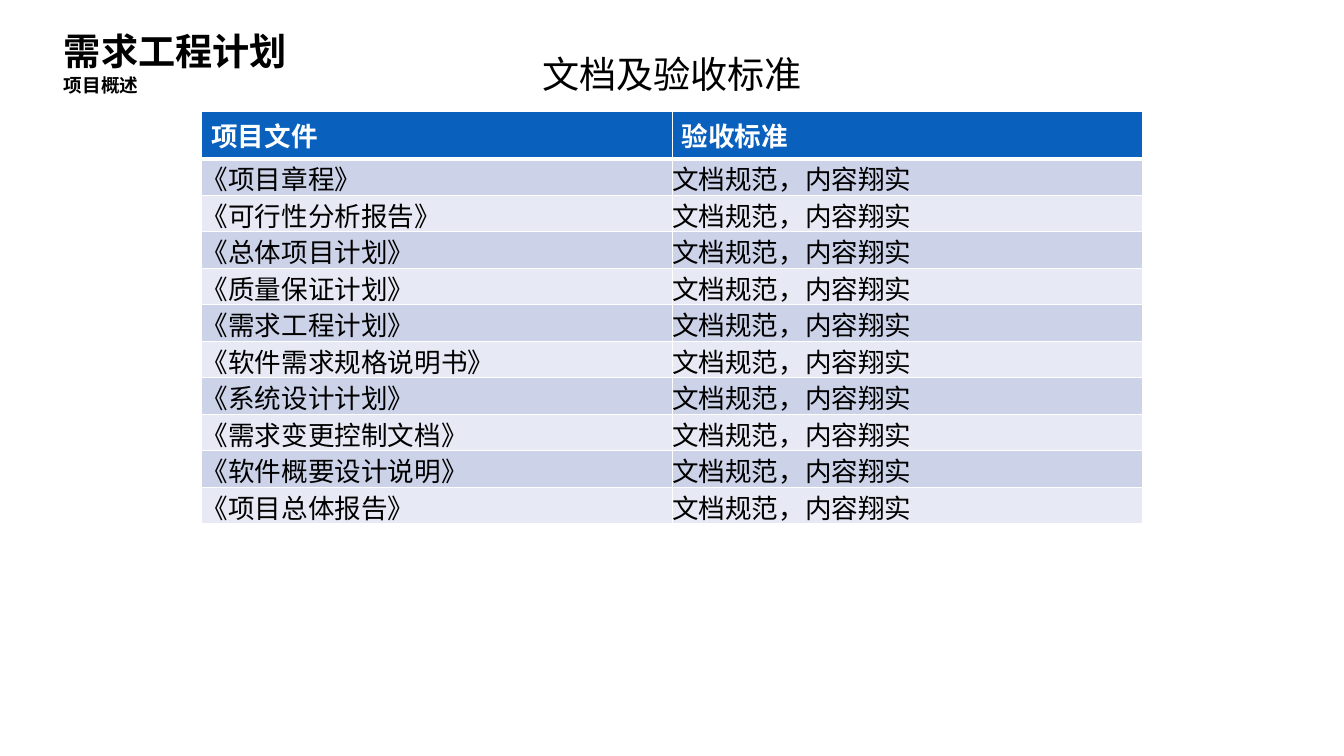
from dataclasses import dataclass

from lxml.etree import SubElement
from pptx import Presentation
from pptx.dml.color import RGBColor
from pptx.enum.text import MSO_ANCHOR, PP_ALIGN
from pptx.oxml.ns import qn
from pptx.slide import Slide
from pptx.table import _Cell
from pptx.text.text import TextFrame
from pptx.util import Cm, Pt

COLORS = {"ink": "000000", "white": "FFFFFF", "head": "0961BD",
          "odd": "CCD2E8", "even": "E7EAF4"}
CJK = "Noto Sans CJK SC"
HEADS = ("项目文件", "验收标准")
FILES = ("项目章程", "可行性分析报告", "总体项目计划", "质量保证计划",
         "需求工程计划", "软件需求规格说明书", "系统设计计划",
         "需求变更控制文档", "软件概要设计说明", "项目总体报告")
RULE = "文档规范，内容翔实"


@dataclass
class Label:
    """A line of heading text and its box in centimetres."""
    text: str
    left: float
    top: float
    width: float
    height: float
    size: int
    face: str = "Arial"
    bold: bool = True
    anchor: MSO_ANCHOR = MSO_ANCHOR.MIDDLE
    align: PP_ALIGN = PP_ALIGN.LEFT
    space: float = 1.0


LABELS = (
    Label("需求工程计划", 1.7, 0.74, 8.56, 1.19, 28),
    Label("项目概述", 1.7, 1.96, 8.94, 0.61, 14),
    Label("文档及验收标准", 13.84, 1.12, 8.03, 1.42, 28, CJK, False,
          MSO_ANCHOR.TOP, PP_ALIGN.CENTER, 1.2),
)


def style(frame: TextFrame, size: int, face: str, color: str, bold: bool) -> None:
    """Format every run of a text frame."""
    for para in frame.paragraphs:
        for run in para.runs:
            font = run.font
            font.size, font.bold, font.name = Pt(size), bold, face
            font.color.rgb = RGBColor.from_string(COLORS[color])
            SubElement(font._element, qn("a:ea")).set("typeface", CJK)


def add_label(slide: Slide, label: Label) -> None:
    """Add one heading to the slide."""
    box = slide.shapes.add_textbox(Cm(label.left), Cm(label.top),
                                   Cm(label.width), Cm(label.height))
    frame = box.text_frame
    frame.text = label.text
    frame.word_wrap = True
    frame.vertical_anchor = label.anchor
    frame.margin_left = frame.margin_top = 0
    frame.margin_right = frame.margin_bottom = 0
    para = frame.paragraphs[0]
    para.alignment, para.line_spacing = label.align, label.space
    style(frame, label.size, label.face, "ink", label.bold)


def set_edges(cell: _Cell, head: bool) -> None:
    """Draw white borders, thicker where the header meets the body."""
    props = cell._tc.get_or_add_tcPr()
    for spot, side in enumerate(("lnL", "lnR", "lnT", "lnB")):
        line = props.makeelement(qn(f"a:{side}"), {})
        line.set("w", str(Pt(3 if head and side == "lnB" else 1)))
        fill = SubElement(line, qn("a:solidFill"))
        SubElement(fill, qn("a:srgbClr")).set("val", COLORS["white"])
        props.insert(spot, line)


def fill_cell(cell: _Cell, text: str, row: int) -> None:
    """Write and colour a cell according to its row."""
    head = row == 0
    cell.text = text
    if not head:
        cell.margin_left = cell.margin_right = 0
        cell.margin_top = cell.margin_bottom = 0
    shade = "head" if head else "odd" if row % 2 else "even"
    cell.fill.solid()
    cell.fill.fore_color.rgb = RGBColor.from_string(COLORS[shade])
    style(cell.text_frame, 20, CJK, "white" if head else "ink", head)
    set_edges(cell, head)


def add_grid(slide: Slide) -> None:
    """Add the table of files and their acceptance rule."""
    rows = [HEADS] + [(f"《{name}》", RULE) for name in FILES]
    grid = slide.shapes.add_table(len(rows), len(HEADS), Cm(5.36), Cm(2.95),
                                  Cm(25), Cm(10.95)).table
    for row, texts in enumerate(rows):
        grid.rows[row].height = Cm(0.97 if row else 1.27)
        for col, text in enumerate(texts):
            fill_cell(grid.cell(row, col), text, row)


def main() -> None:
    """Build and save the slide."""
    deck = Presentation()
    deck.slide_width, deck.slide_height = Cm(35.71), Cm(20.09)
    slide = deck.slides.add_slide(deck.slide_layouts[6])
    for label in LABELS:
        add_label(slide, label)
    add_grid(slide)
    deck.save("out.pptx")


if __name__ == "__main__":
    main()
